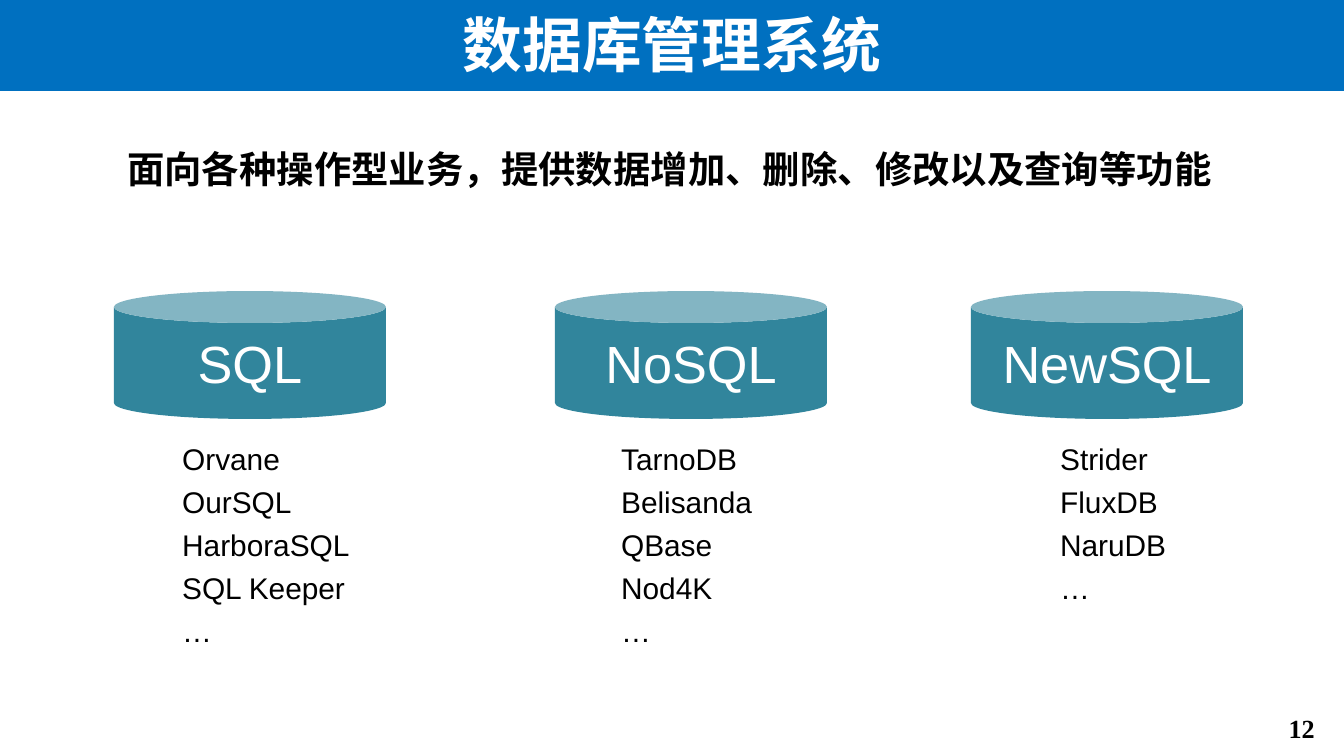
from lxml.etree import SubElement
from pptx import Presentation
from pptx.dml.color import RGBColor
from pptx.enum.shapes import MSO_SHAPE as SHAPE
from pptx.enum.text import MSO_ANCHOR as ANCHOR, PP_ALIGN as ALIGN
from pptx.oxml.ns import qn
from pptx.util import Pt

PX = 914400 / 134.4
BLUE = RGBColor(0x00, 0x70, 0xC0)
TEAL = RGBColor(0x31, 0x85, 0x9C)
WHITE = RGBColor(0xFF, 0xFF, 0xFF)
BLACK = RGBColor(0x00, 0x00, 0x00)
CJK = "Noto Sans CJK SC"


def px(*lengths):
    return [round(length * PX) for length in lengths]


def write(shape, text, size, font, color, bold=False, align=ALIGN.LEFT, before=0):
    frame = shape.text_frame
    frame.word_wrap = True
    frame.text = text
    for paragraph in frame.paragraphs:
        paragraph.alignment = align
        paragraph.space_before = Pt(before)
        for run in paragraph.runs:
            run.font.size = Pt(size)
            run.font.name = font
            run.font.bold = bold
            run.font.color.rgb = color
            SubElement(run.font._element, qn("a:ea"), typeface=font)


deck = Presentation()
deck.slide_width, deck.slide_height = px(1344, 756)
slide = deck.slides.add_slide(deck.slide_layouts[6])
shapes = slide.shapes

page_number = shapes.add_textbox(*px(1243, 706, 85, 46))
write(page_number, "12", 14, "Times New Roman", BLACK, True, ALIGN.RIGHT)

title = shapes.add_shape(SHAPE.RECTANGLE, *px(0, -3, 1344, 94))
write(title, "数据库管理系统", 32, CJK, WHITE, True, ALIGN.CENTER)

summary = shapes.add_textbox(*px(114, 140, 1153, 59))
write(summary, "面向各种操作型业务，提供数据增加、删除、修改以及查询等功能", 20, CJK, BLACK, True)

families = [
    ("SQL", 114, ["Orvane", "OurSQL", "HarboraSQL", "SQL Keeper", "…"]),
    ("NoSQL", 555, ["TarnoDB", "Belisanda", "QBase", "Nod4K", "…"]),
    ("NewSQL", 971, ["Strider", "FluxDB", "NaruDB", "…"]),
]
filled = [(title, BLUE)]
for column, (family, left, products) in enumerate(families):
    cylinder = shapes.add_shape(SHAPE.CAN, *px(left, 291, 272, 128))
    write(cylinder, family, 28, "Arial", WHITE, align=ALIGN.CENTER)
    filled.append((cylinder, TEAL))

    product_list = shapes.add_textbox(*px(169 + 439 * column, 434, 293, 223))
    write(product_list, "\n".join(products), 16, "Arial", BLACK, before=3.9)

for shape, color in filled:
    shape.shadow.inherit = False
    shape.fill.solid()
    shape.fill.fore_color.rgb = color
    shape.line.fill.background()
    shape.text_frame.vertical_anchor = ANCHOR.MIDDLE

deck.save("out.pptx")
